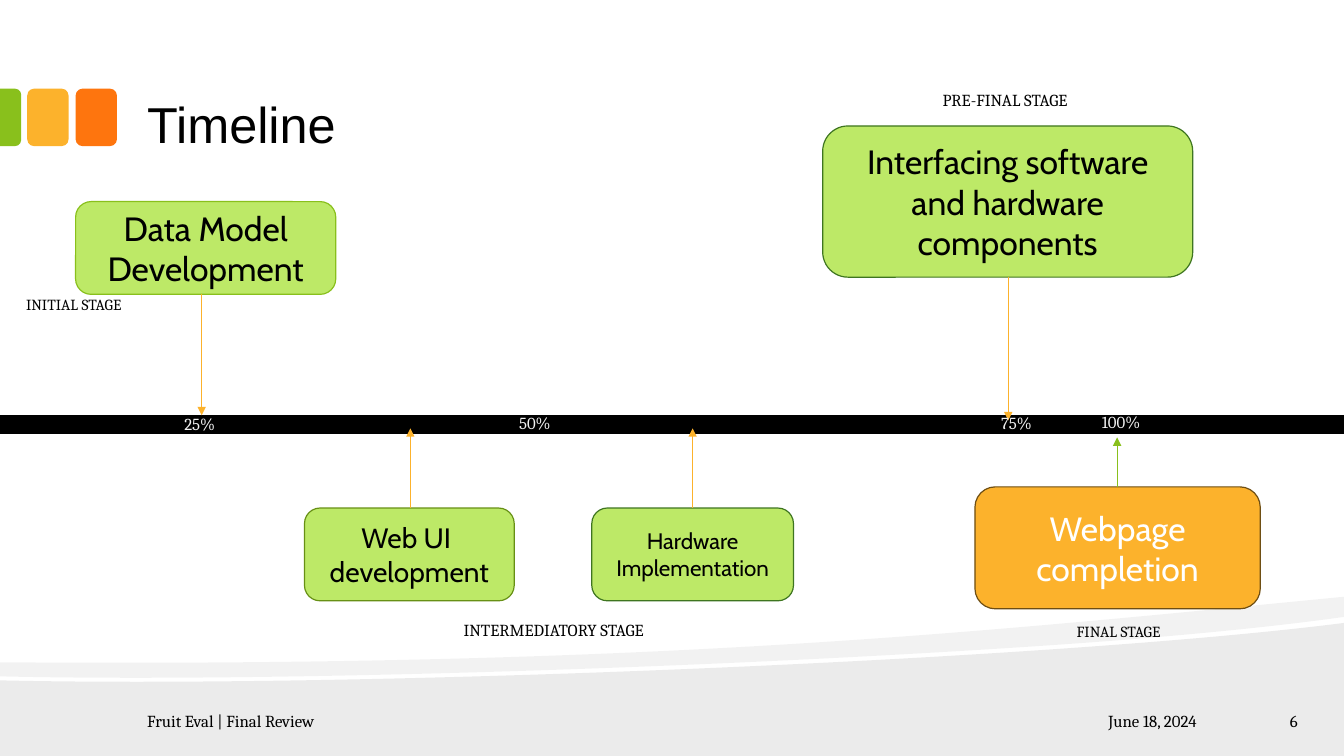
from lxml import etree
from pptx import Presentation
from pptx.dml.color import RGBColor
from pptx.enum.shapes import MSO_CONNECTOR, MSO_SHAPE
from pptx.enum.text import MSO_ANCHOR, PP_ALIGN
from pptx.oxml.ns import qn
from pptx.util import Inches, Pt

RECT = MSO_SHAPE.RECTANGLE
ROUND = MSO_SHAPE.ROUNDED_RECTANGLE
TOPS = MSO_SHAPE.ROUND_2_SAME_RECTANGLE
STRAIGHT = MSO_CONNECTOR.STRAIGHT
LEFT, MID, RIGHT = PP_ALIGN.LEFT, PP_ALIGN.CENTER, PP_ALIGN.RIGHT
TOP, CENTER, BOTTOM = MSO_ANCHOR.TOP, MSO_ANCHOR.MIDDLE, MSO_ANCHOR.BOTTOM

BLACK, WHITE, PALE = "000000", "FFFFFF", "F2F2F2"
GREEN, LIME, AMBER, ORANGE = "89C01C", "BDE967", "FCB22C", "FE750E"
OLIVE, FOREST, BROWN = "679015", "3E7520", "6E4E13"
WIDE = {"margin_left": Inches(0.13), "margin_right": Inches(0.13),
        "margin_top": Inches(0.07), "margin_bottom": Inches(0.07)}

FLOOR = [
    [(13.33, 6.18)],
    [(13.33, 7.5)],
    [(0, 7.5)],
    [(0, 6.75)],
    [(3.52, 6.83), (10.42, 6.55), (13.33, 6.18)],
]
BAND = [
    [(13.33, 5.92)],
    [(13.33, 6.12)],
    [(12.55, 6.23), (11.49, 6.33), (10.29, 6.41)],
    [(6.98, 6.63), (2.58, 6.77), (0, 6.71)],
    [(0, 6.57)],
    [(6.52, 6.62), (9.71, 6.27), (13.33, 5.92)],
]
STAGES = [
    ("Data Model Development", (0.75, 2, 2.58, 0.92), 24, LIME, GREEN, BLACK),
    ("Web UI \ndevelopment", (3.02, 5.04, 2.08, 0.92), 20, LIME, OLIVE, BLACK),
    ("Hardware Implementation", (5.87, 5.04, 2, 0.92), 16, LIME, FOREST, BLACK),
    ("Interfacing software and hardware components",
     (8.16, 1.25, 3.67, 1.5), 24, LIME, FOREST, BLACK),
    ("Webpage completion", (9.67, 4.83, 2.83, 1.21), 24, AMBER, BROWN, WHITE),
]
ARROWS = [
    (2, 2.92, 4.12, AMBER),
    (4.07, 5.04, 4.25, AMBER),
    (6.87, 5.04, 4.25, AMBER),
    (10, 2.75, 4.17, AMBER),
    (11.08, 4.83, 4.34, GREEN),
]
LABELS = [
    ("INITIAL STAGE", (0.16, 2.88, 1.17, 0.47), 11, BLACK),
    ("INTERMEDIATORY STAGE", (4.5, 6.1, 3, 0.3), 12, BLACK),
    ("PRE-FINAL STAGE", (9.25, 0.84, 3.17, 0.3), 12, BLACK),
    ("FINAL STAGE", (10.58, 6.12, 1.71, 0.29), 11, BLACK),
    ("25%", (1.73, 4.06, 0.67, 0.3), 12, PALE),
    ("50%", (5.05, 4.05, 0.92, 0.3), 12, PALE),
    ("75%", (9.83, 4.05, 0.92, 0.3), 12, PALE),
    ("100%", (10.83, 4.04, 0.92, 0.3), 12, PALE),
]
FOOTER = [
    ("June 18, 2024", (10.44, 7.05, 1.56, 0.2), RIGHT),
    ("Fruit Eval | Final Review", (1.33, 7.05, 9.06, 0.2), LEFT),
    ("6", (12.11, 7.05, 0.89, 0.2), RIGHT),
]


def rgb(code):
    return RGBColor.from_string(code)


def apply(target, values):
    for name, value in values.items():
        setattr(target, name, value)


def write(shape, text, font, size, color, align=LEFT, anchor=TOP, margins={}):
    frame = shape.text_frame
    frame.text = text
    apply(frame, {"word_wrap": True, "vertical_anchor": anchor, **margins})
    for para in frame.paragraphs:
        para.alignment = align
        apply(para.font, {"name": font, "size": Pt(size)})
        para.font.color.rgb = rgb(color)


def add_box(slide, kind, box, fill, edge=None):
    shape = slide.shapes.add_shape(kind, *map(Inches, box))
    shape.shadow.inherit = False
    shape.fill.solid()
    shape.fill.fore_color.rgb = rgb(fill)
    if edge:
        shape.line.color.rgb = rgb(edge)
        shape.line.width = Pt(0.85)
    else:
        shape.line.fill.background()
    return shape


def add_label(slide, text, box, size, color, **style):
    label = slide.shapes.add_textbox(*map(Inches, box))
    write(label, text, "Cambria", size, color, **style)


def add_arrow(slide, x, start, end, color):
    wire = slide.shapes.add_connector(
        STRAIGHT, Inches(x), Inches(start), Inches(x), Inches(end))
    wire.line.color.rgb = rgb(color)
    wire.line.width = Pt(0.75)
    props = wire._element.spPr
    etree.SubElement(props.find(qn("a:ln")), qn("a:tailEnd"), type="triangle")
    etree.SubElement(props, qn("a:effectLst"))


def bend(props, parts):
    lines = iter(props.findall(".//" + qn("a:lnTo")))
    for part in parts:
        first, *rest = [next(lines) for _ in part]
        if rest:
            first.tag = qn("a:cubicBezTo")
        for line in rest:
            first.append(line[0])
            line.getparent().remove(line)


def add_wave(slide, parts, alpha):
    dots = [(Inches(x), Inches(y)) for part in parts for x, y in part]
    pen = slide.shapes.build_freeform(*dots[0])
    pen.add_line_segments(dots[1:], close=True)
    wave = pen.convert_to_shape()
    wave.shadow.inherit = False
    wave.line.fill.background()
    wave.fill.solid()
    wave.fill.fore_color.rgb = rgb(BLACK)
    props = wave._element.spPr
    bend(props, parts[1:])
    tint = props.find(".//" + qn("a:srgbClr"))
    etree.SubElement(tint, qn("a:alpha"), val=str(alpha * 1000))


def add_decor(slide):
    add_wave(slide, FLOOR, 8)
    add_wave(slide, BAND, 5)
    for x, color in ((0.75, ORANGE), (0.27, AMBER)):
        add_box(slide, ROUND, (x, 0.88, 0.41, 0.57), color)
    tab = add_box(slide, TOPS, (-0.18, 1.06, 0.57, 0.21), GREEN)
    tab.rotation = 90
    tab.adjustments[0] = 0.29


def add_title(slide, text):
    title = slide.shapes.title
    apply(title, {"left": Inches(1.33), "top": Inches(0.17),
                  "width": Inches(10.66), "height": Inches(1.42)})
    write(title, text, "Arial", 36, BLACK, anchor=BOTTOM, margins=WIDE)


def main():
    deck = Presentation()
    apply(deck, {"slide_width": Inches(13.33), "slide_height": Inches(7.5)})
    slide = deck.slides.add_slide(deck.slide_layouts[5])
    add_decor(slide)
    add_title(slide, "Timeline")
    add_box(slide, RECT, (0, 4.12, 13.36, 0.18), BLACK, BLACK)
    for text, box, size, fill, edge, ink in STAGES:
        stage = add_box(slide, ROUND, box, fill, edge)
        write(stage, text, "Cabin", size, ink, MID, CENTER)
    for arrow in ARROWS:
        add_arrow(slide, *arrow)
    for label in LABELS:
        add_label(slide, *label)
    for text, box, align in FOOTER:
        add_label(slide, text, box, 12, BLACK,
                  align=align, anchor=CENTER, margins=WIDE)
    deck.save("out.pptx")


if __name__ == "__main__":
    main()
